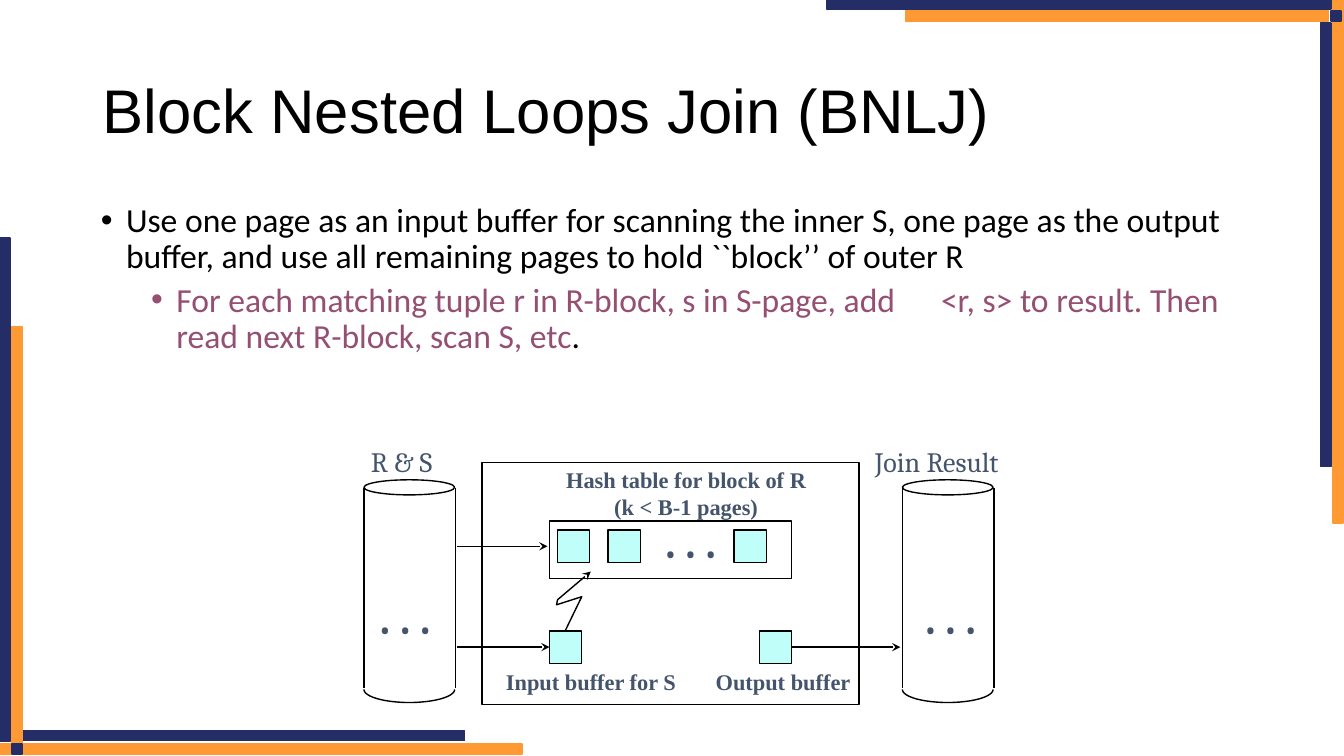
from math import cos, sin, pi
from lxml.etree import SubElement
from pptx import Presentation
from pptx.dml.color import RGBColor
from pptx.enum.shapes import MSO_CONNECTOR, MSO_SHAPE
from pptx.enum.text import MSO_ANCHOR, MSO_AUTO_SIZE, PP_ALIGN
from pptx.oxml.ns import qn
from pptx.util import Inches, Pt

COLORS = {"orange": "FF9933", "navy": "242D66", "black": "000000",
          "plum": "954F72", "slate": "44546A", "aqua": "C0FEF9"}
TITLE = "Block Nested Loops Join (BNLJ)"
BULLETS = [
    (0, 0.25, 0, [
        ("Use one page as an input buffer for scanning the inner S, one page as the output "
         "buffer, and use all remaining pages to hold ``block’’ of outer R", "black", 0)]),
    (1, 0.75, 5, [
        ("For each matching tuple r in R-block, s in S-page, add", "plum", 0),
        (" ", "plum", 27),
        ("<r, s> to result. Then read next R-block, scan S, etc", "plum", 0),
        (".", "black", 0)]),
]
BANDS = [
    ("orange", 13.22, -0.01, 0.1, 5.2),
    ("navy", 13.1, 0.23, 0.1, 4.4),
    ("navy", 8.2, -0.01, 5, 0.1),
    ("orange", 8.98, 0.11, 4.2, 0.1),
    ("navy", 13.2, 0.11, 0.1, 0.1),
    ("orange", -0.02, 7.38, 5.2, 0.1),
    ("navy", 0.21, 7.25, 4.4, 0.1),
    ("navy", 0, 2.36, 0.1, 5),
    ("orange", 0.12, 3.24, 0.1, 4.2),
    ("navy", 0.12, 7.38, 0.1, 0.1),
]
DISKS = [3.61, 8.95]
FRAMES = [(4.78, 4.59, 3.74, 2.4), (5.45, 5.17, 2.4, 0.57)]
PAGES = {"first": (5.53, 5.26), "second": (6.03, 5.26), "last": (7.28, 5.26),
         "input": (5.45, 6.26), "output": (7.53, 6.26)}
PAGE = 0.32
BOLT = [(5.61, 6.25), (5.77, 5.92), (5.52, 6), (5.53, 5.95), (5.86, 5.67)]
DOTS = (". . .", "Cambria", 32, True)
LABELS = [
    (3.67, 5.8, 0.76, 0.64, *DOTS),
    (6.5, 5.05, 0.76, 0.64, *DOTS),
    (9.08, 5.8, 0.76, 0.64, *DOTS),
    (3.58, 4.36, 0.89, 0.43, "R & S", "Cambria", 20, False),
    (8.58, 4.36, 1.54, 0.43, "Join Result", "Cambria", 20, False),
    (5.51, 4.58, 2.59, 0.63, "Hash table for block of R\n(k < B-1 pages)",
     "Times New Roman", 16, True),
    (4.92, 6.58, 1.9, 0.36, "Input buffer for S", "Times New Roman", 16, True),
    (7, 6.58, 1.55, 0.37, "Output buffer", "Times New Roman", 16, True),
]


def color(name):
    return RGBColor.from_string(COLORS[name])


def style(run, font, size, hue, bold=False):
    run.font.name = font
    run.font.size = Pt(size)
    run.font.bold = bold
    run.font.color.rgb = color(hue)


def ink(shape, fill=None, line="black"):
    shape.shadow.inherit = False
    if fill:
        shape.fill.solid()
        shape.fill.fore_color.rgb = color(fill)
    else:
        shape.fill.background()
    shape.line.color.rgb = color(line)
    shape.line.width = Pt(1)
    return shape


def box(shapes, kind, area, fill=None, line="black"):
    return ink(shapes.add_shape(kind, *map(Inches, area)), fill, line)


def path_of(shapes, points):
    spots = [(Inches(x), Inches(y)) for x, y in points]
    build = shapes.build_freeform(*spots[0])
    build.add_line_segments(spots[1:], close=False)
    return ink(build.convert_to_shape())


def point(shape):
    SubElement(shape.line._get_or_add_ln(), qn("a:tailEnd"), type="stealth")


def wire(shapes, x1, y1, x2, y2):
    line = shapes.add_connector(MSO_CONNECTOR.STRAIGHT, *map(Inches, (x1, y1, x2, y2)))
    line.line.color.rgb = color("black")
    line.line.width = Pt(1)
    SubElement(line._element.spPr, qn("a:effectLst"))
    return line


def disk(slide, left):
    shapes = slide.shapes.add_group_shape().shapes
    box(shapes, MSO_SHAPE.OVAL, (left, 4.76, 0.9, 0.15))
    for x in (left, left + 0.91):
        wire(shapes, x, 4.84, x, 6.83)
    arc = [(left + 0.45 + 0.45 * cos(i * pi / 24), 6.84 + 0.13 * sin(i * pi / 24))
           for i in range(25)]
    path_of(shapes, arc)


def place(shape, area):
    shape.left, shape.top, shape.width, shape.height = map(Inches, area)


def words(slide):
    title, body = slide.shapes.title, slide.placeholders[1]
    place(title, (0.92, 0.4, 11.5, 1.45))
    title.text_frame.text = TITLE
    title.text_frame.vertical_anchor = MSO_ANCHOR.MIDDLE
    para = title.text_frame.paragraphs[0]
    para.alignment = PP_ALIGN.LEFT
    para.line_spacing = 0.9
    style(para.runs[0], "Arial", 44, "black")

    place(body, (0.9, 1.97, 11.81, 2.67))
    frame = body.text_frame
    frame.text = "\n".join("" for _ in BULLETS)
    for para, (level, indent, before, runs) in zip(frame.paragraphs, BULLETS):
        para.level = level
        props = para._p.get_or_add_pPr()
        props.set("marL", str(Inches(indent)))
        props.set("indent", str(Inches(-0.25)))
        SubElement(props, qn("a:buFont"), typeface="Arial")
        SubElement(props, qn("a:buChar"), char="•")
        para.line_spacing = 0.9
        para.space_before = Pt(before)
        for text, hue, gap in runs:
            run = para.add_run()
            run.text = text
            style(run, "Calibri", 24, hue)
            if gap:
                run._r.get_or_add_rPr().set("spc", str(gap * 100))


def label(slide, left, top, width, height, text, font, size, bold):
    frame = slide.shapes.add_textbox(*map(Inches, (left, top, width, height))).text_frame
    frame.text = text
    frame.word_wrap = False
    frame.auto_size = MSO_AUTO_SIZE.SHAPE_TO_FIT_TEXT
    for para in frame.paragraphs:
        if len(frame.paragraphs) > 1:
            para.alignment = PP_ALIGN.CENTER
        style(para.runs[0], font, size, "slate", bold)


def main():
    deck = Presentation()
    deck.slide_width, deck.slide_height = Inches(13.33), Inches(7.5)
    slide = deck.slides.add_slide(deck.slide_layouts[1])
    shapes = slide.shapes
    for hue, *area in BANDS:
        box(shapes, MSO_SHAPE.RECTANGLE, area, hue, hue)
    words(slide)
    for left in DISKS:
        disk(slide, left)
    for area in FRAMES:
        box(shapes, MSO_SHAPE.RECTANGLE, area)
    pages = {name: box(shapes, MSO_SHAPE.RECTANGLE, (*spot, PAGE, PAGE), "aqua")
             for name, spot in PAGES.items()}
    load = wire(shapes, 4.53, 5.42, 5.43, 5.42)
    scan = wire(shapes, 4.53, 6.42, 5.45, 6.42)
    scan.end_connect(pages["input"], 1)
    emit = wire(shapes, 7.85, 6.42, 8.93, 6.42)
    emit.begin_connect(pages["output"], 3)
    for shape in (load, scan, emit, path_of(shapes, BOLT)):
        point(shape)
    for item in LABELS:
        label(slide, *item)
    deck.save("out.pptx")


if __name__ == "__main__":
    main()
